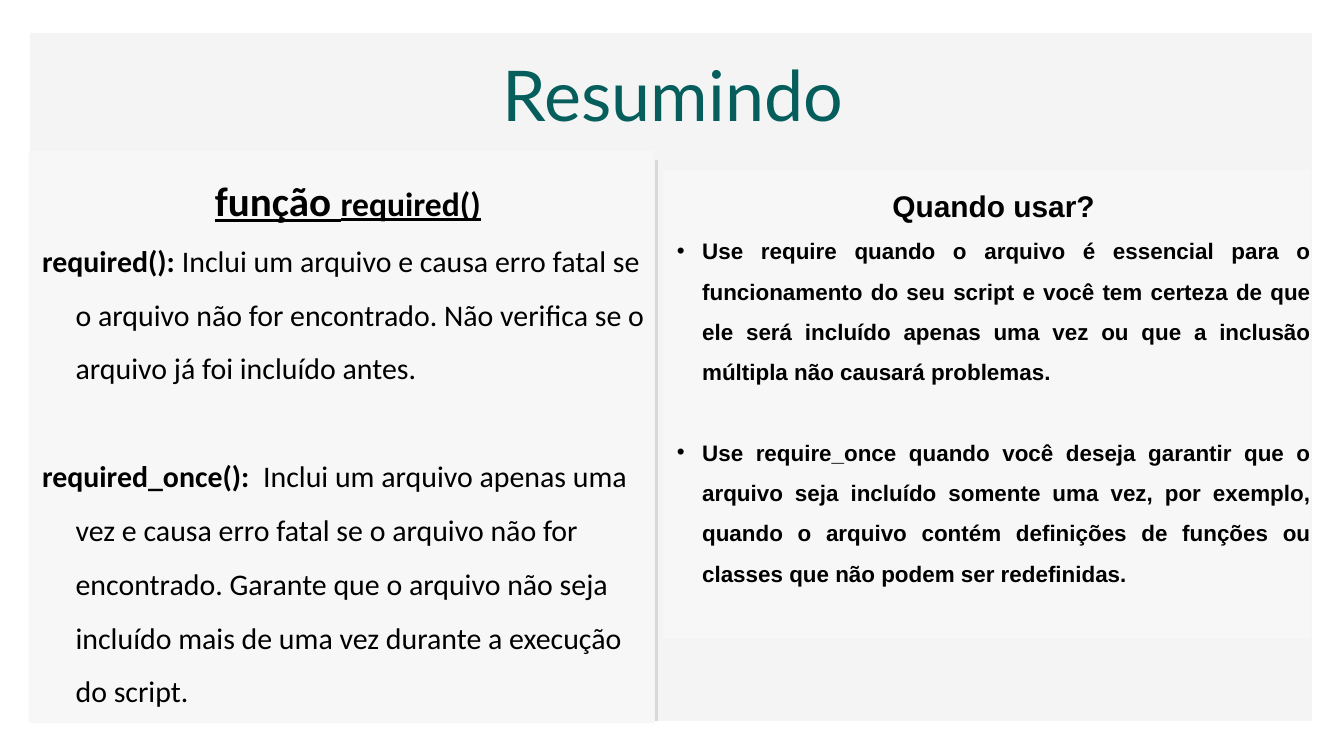
from lxml.etree import SubElement
from pptx import Presentation
from pptx.dml.color import RGBColor
from pptx.enum.shapes import MSO_CONNECTOR, MSO_SHAPE
from pptx.enum.text import MSO_ANCHOR, MSO_AUTO_SIZE, PP_ALIGN
from pptx.oxml.ns import qn
from pptx.util import Pt

PX = 9525  # EMU in one px, 96 px to the inch
BACK = RGBColor(0xF4, 0xF4, 0xF4)
CARD = RGBColor(0xF7, 0xF7, 0xF8)
RULE = RGBColor(0xD9, 0xD9, 0xD9)
TEAL = RGBColor(0x05, 0x5E, 0x5C)
BLACK = RGBColor(0, 0, 0)

HEAD = {"alignment": PP_ALIGN.CENTER, "line_spacing": 1.5}
TERM = {"alignment": PP_ALIGN.LEFT, "line_spacing": 1.5, "level": 1}
ITEM = {"alignment": PP_ALIGN.JUSTIFY, "line_spacing": 1.5}


def px(*nums):
    return [n * PX for n in nums]


def apply(obj, form):
    for key, val in form.items():
        setattr(obj, key, val)


def add_back(slide, box):
    back = slide.shapes.add_shape(MSO_SHAPE.RECTANGLE, *px(*box))
    back.shadow.inherit = False
    back.fill.solid()
    back.fill.fore_color.rgb = BACK
    back.line.fill.background()
    # Behind the title and the two columns
    slide.shapes.title.element.addprevious(back.element)


def add_rule(slide, ends):
    rule = slide.shapes.add_connector(MSO_CONNECTOR.STRAIGHT, *px(*ends))
    rule.line.color.rgb = RULE
    rule.line.width = Pt(3)
    SubElement(rule.element.spPr, qn("a:effectLst"))


def set_box(shape, box, pads, anchor):
    apply(shape, dict(zip(("left", "top", "width", "height"), px(*box))))
    frame = shape.text_frame
    sides = ("margin_left", "margin_top", "margin_right", "margin_bottom")
    apply(frame, dict(zip(sides, px(*pads))))
    apply(frame, {"word_wrap": True, "auto_size": MSO_AUTO_SIZE.NONE,
                  "vertical_anchor": anchor})
    return frame


def set_card(shape, box, pads):
    shape.fill.solid()
    shape.fill.fore_color.rgb = CARD
    return set_box(shape, box, pads, MSO_ANCHOR.MIDDLE)


def add_para(frame, form, runs, font, color=BLACK, hang=0, mark=None, gap=0):
    """Runs are (text, font format) pairs; hang is a hanging indent in px."""
    para = frame.paragraphs[0]
    if para.runs:
        para = frame.add_paragraph()
    apply(para, form)
    apply(para, {"space_before": Pt(gap), "space_after": Pt(0)})
    props = para._p.get_or_add_pPr()
    props.set("marL", str(hang * PX))
    props.set("indent", str(-hang * PX))
    if mark:
        SubElement(props, qn("a:buFont"), typeface="Arial")
        SubElement(props, qn("a:buChar"), char=mark)
    else:
        SubElement(props, qn("a:buNone"))
    for text, look in runs:
        run = para.add_run()
        run.text = text
        apply(run.font, {"name": font, **look})
        run.font.color.rgb = color


def main():
    deck = Presentation()
    apply(deck, {"slide_width": 1920 * PX, "slide_height": 1080 * PX})
    slide = deck.slides.add_slide(deck.slide_layouts[3])
    title, left, right = slide.placeholders

    # Backdrop and the rule between the columns
    add_back(slide, (43, 47, 1831, 983))
    add_rule(slide, (938, 229, 938, 1030))

    # Title
    frame = set_box(title, (46, 50, 1831, 145), (0, 0, 0, 0), MSO_ANCHOR.TOP)
    add_para(frame, {"alignment": PP_ALIGN.CENTER, "line_spacing": 1.2},
             [("Resumindo", {"size": Pt(75)})], "Lato", TEAL)

    # Left column: the two functions
    frame = set_card(left, (41, 216, 893, 817), (19, 0, 0, 21))
    bold = {"bold": True, "underline": True}
    add_para(frame, HEAD, [("função ", {"size": Pt(44), **bold}),
                           ("required()", {"size": Pt(36), **bold})], "Calibri")
    terms = [
        ("required(): ", "Inclui um arquivo e causa erro fatal se o arquivo não "
         "for encontrado. Não verifica se o arquivo já foi incluído antes."),
        ("required_once(): ", " Inclui um arquivo apenas uma vez e causa erro "
         "fatal se o arquivo não for encontrado. Garante que o arquivo não seja "
         "incluído mais de uma vez durante a execução do script."),
    ]
    for num, (name, text) in enumerate(terms):
        add_para(frame, TERM, [(name, {"size": Pt(32), "bold": True}),
                               (text, {"size": Pt(32), "bold": False})],
                 "Calibri", hang=48, gap=58 * num)

    # Right column: when to use each one
    frame = set_card(right, (948, 243, 924, 669), (19, 0, 0, 74))
    add_para(frame, HEAD, [("Quando usar?", {"size": Pt(32), "bold": True})],
             "Arial")
    items = [
        "Use require quando o arquivo é essencial para o funcionamento do seu "
        "script e você tem certeza de que ele será incluído apenas uma vez ou "
        "que a inclusão múltipla não causará problemas.",
        "Use require_once quando você deseja garantir que o arquivo seja "
        "incluído somente uma vez, por exemplo, quando o arquivo contém "
        "definições de funções ou classes que não podem ser redefinidas.",
    ]
    for num, text in enumerate(items):
        add_para(frame, ITEM, [(text, {"size": Pt(24), "bold": True})],
                 "Arial", hang=36, mark="•", gap=43 * num)

    deck.save("out.pptx")


if __name__ == "__main__":
    main()
